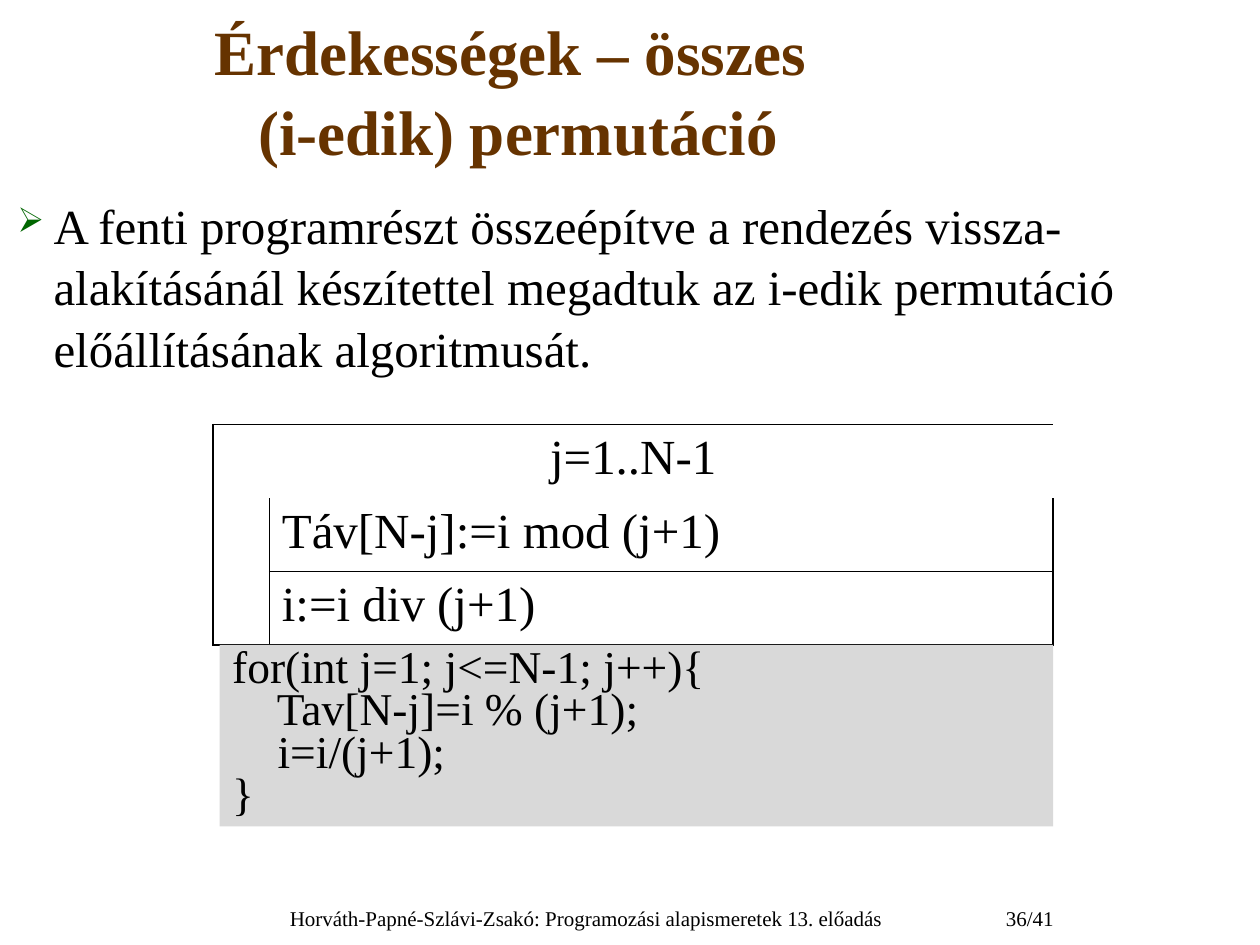
from lxml import etree
from pptx import Presentation
from pptx.dml.color import RGBColor
from pptx.enum.shapes import MSO_SHAPE as Shape
from pptx.enum.text import MSO_ANCHOR as Anchor, PP_ALIGN as Align
from pptx.oxml.ns import qn
from pptx.util import Cm, Pt

FONT = "Times New Roman"
BLACK, BROWN, GREEN, GREY = "000000", "663300", "006600", "D9D9D9"
OUTER, INNER = 1.08, 0.45


def color(hex_code):
    return RGBColor.from_string(hex_code)


def add_bullet(paragraph, char, hex_code, percent, indent):
    props = paragraph._p.get_or_add_pPr()
    props.set("marL", str(indent))
    props.set("indent", str(-indent))
    bullet_color = etree.SubElement(props, qn("a:buClr"))
    etree.SubElement(bullet_color, qn("a:srgbClr"), val=hex_code)
    etree.SubElement(props, qn("a:buSzPct"), val=str(percent * 1000))
    etree.SubElement(props, qn("a:buChar"), char=char)


def write(frame, text, size=28, ink=BLACK, bold=False, align=Align.LEFT,
          anchor=Anchor.TOP, spacing=None, bullet=None):
    """Fill a text frame, one paragraph for each line of text."""
    frame.word_wrap = True
    frame.vertical_anchor = anchor
    for number, line in enumerate(text.split("\n")):
        paragraph = frame.add_paragraph() if number else frame.paragraphs[0]
        paragraph.text = line
        paragraph.alignment = align
        if spacing:
            paragraph.line_spacing = spacing
        if bullet:
            add_bullet(paragraph, **bullet)
        for run in paragraph.runs:
            run.font.name = FONT
            run.font.size = Pt(size)
            run.font.bold = bold
            run.font.color.rgb = color(ink)


def add_text(slide, box, text, **style):
    write(slide.shapes.add_textbox(*map(Cm, box)).text_frame, text, **style)


def set_borders(cell, left=0, right=0, top=0, bottom=0):
    """Draw the cell's edges with widths in points; zero means no line."""
    props = cell._tc.get_or_add_tcPr()
    edges = {"L": left, "R": right, "T": top, "B": bottom}
    for position, (side, width) in enumerate(edges.items()):
        line = etree.Element(qn(f"a:ln{side}"), w=str(int(Pt(width))))
        if width:
            fill = etree.SubElement(line, qn("a:solidFill"))
            etree.SubElement(fill, qn("a:srgbClr"), val=BLACK)
        else:
            etree.SubElement(line, qn("a:noFill"))
        props.insert(position, line)


def add_structogram(slide, box, heading, steps, bar=1.13):
    """Loop diagram: a heading over the steps, with a bar at the left."""
    left, top, width, height = box
    last = len(steps)
    table = slide.shapes.add_table(last + 1, 2, *map(Cm, box)).table
    table.first_row = table.horz_banding = False
    table.columns[0].width = Cm(bar)
    table.columns[1].width = Cm(width - bar)

    for row in range(last + 1):
        for column in range(2):
            cell = table.cell(row, column)
            cell.fill.background()
            set_borders(
                cell,
                left=INNER if column and row else 0 if column else OUTER,
                right=OUTER if column else INNER if row else 0,
                top=OUTER if row == 0 else INNER if column and row > 1 else 0,
                bottom=OUTER if row == last else INNER if column and row else 0)

    table.cell(0, 0).merge(table.cell(0, 1))
    write(table.cell(0, 0).text_frame, heading, align=Align.CENTER)
    for row, step in enumerate(steps, 1):
        write(table.cell(row, 1).text_frame, step)


def add_code(slide, box, code):
    panel = slide.shapes.add_shape(Shape.RECTANGLE, *map(Cm, box))
    panel.shadow.inherit = False
    panel.fill.solid()
    panel.fill.fore_color.rgb = color(GREY)
    panel.line.fill.background()
    write(panel.text_frame, code, size=26, spacing=Pt(24))


def add_footer(slide, box, credit, page, page_width=3.23):
    left, top, width, height = box
    credit_width = width - page_width
    add_text(slide, (left, top, credit_width, height), credit,
             size=12, align=Align.CENTER)
    add_text(slide, (left + credit_width, top, page_width, height), page,
             size=12, align=Align.RIGHT)


def main():
    deck = Presentation()
    deck.slide_width, deck.slide_height = Cm(25.4), Cm(19.05)
    slide = deck.slides.add_slide(deck.slide_layouts[6])

    # Title
    add_text(slide, (0, 0.23, 20.9, 3.1),
             "Érdekességek – összes \v(i-edik) permutáció",
             size=36, ink=BROWN, bold=True, align=Align.CENTER,
             anchor=Anchor.MIDDLE, spacing=1.05)

    # Statement
    add_text(slide, (0.1, 3.75, 24.8, 13.2),
             "A fenti programrészt összeépítve a rendezés vissza-alakításánál "
             "készítettel megadtuk az i-edik permutáció előállításának "
             "algoritmusát.", spacing=1.05,
             bullet=dict(char="➢", hex_code=GREEN, percent=70,
                         indent=Cm(0.73)))

    # Algorithm and its code
    add_structogram(slide, (4.3, 8.56, 16.93, 4.45), "j=1..N-1",
                    ["Táv[N-j]:=i mod (j+1)", "i:=i div (j+1)"])
    add_code(slide, (4.43, 13, 16.8, 3.66),
             "for(int j=1; j<=N-1; j++){\n"
             "    Tav[N-j]=i % (j+1);\n"
             "    i=i/(j+1);\n"
             "}")

    # Footer
    add_footer(slide, (5.38, 18.14, 16.11, 0.91),
               "Horváth-Papné-Szlávi-Zsakó: Programozási alapismeretek "
               "13. előadás", "36/41")

    deck.save("out.pptx")


if __name__ == "__main__":
    main()
